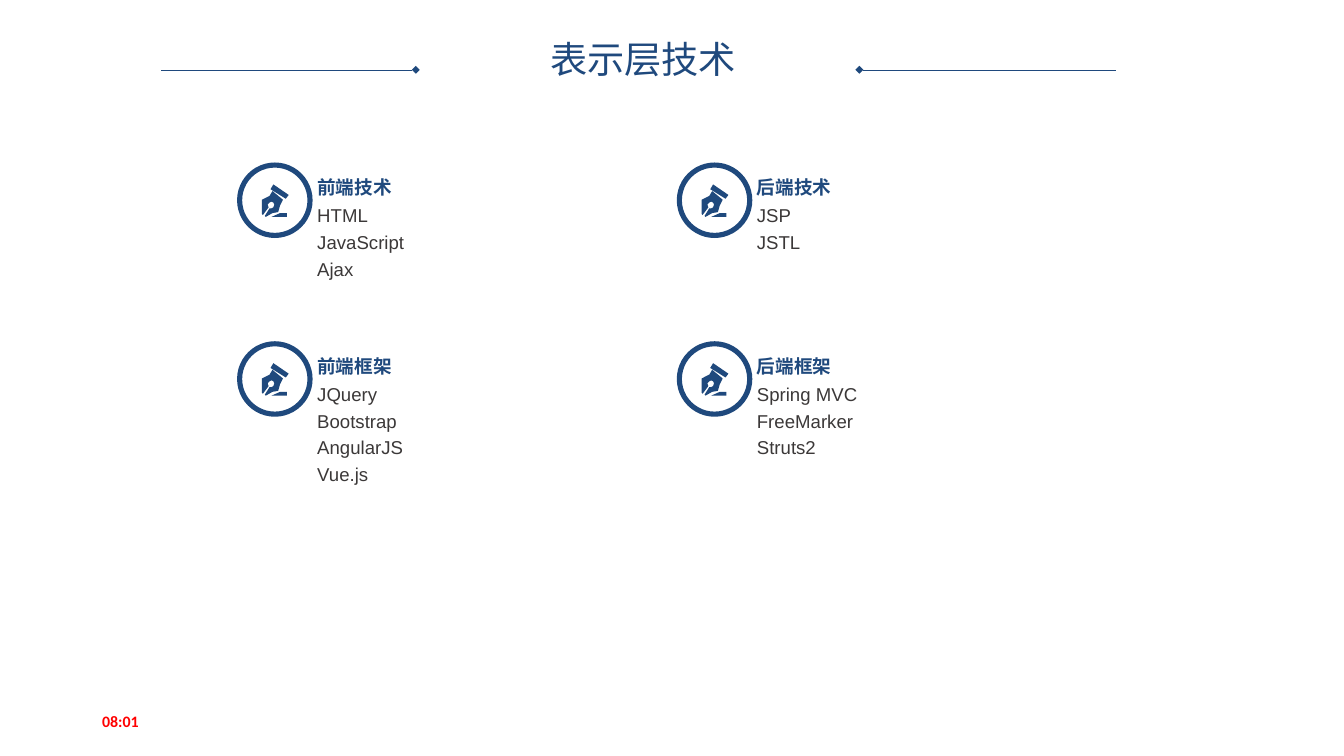
from lxml import etree
from pptx import Presentation
from pptx.dml.color import RGBColor
from pptx.enum import shapes as kinds, text as layout
from pptx.oxml import ns
from pptx.util import Inches, Pt

NAVY = RGBColor(0x1F, 0x49, 0x7D)
CHARCOAL = RGBColor(0x3B, 0x38, 0x38)
RED = RGBColor(0xFF, 0x00, 0x00)

TITLE = " 表示层技术"
CLOCK = "08:01"
TOPICS = [
    [("前端技术", ["HTML", "JavaScript", "Ajax"], 1.12),
     ("后端技术", ["JSP", "JSTL"], 0.66)],
    [("前端框架", ["JQuery", "Bootstrap", "AngularJS", "Vue.js"], 1.11),
     ("后端框架", ["Spring MVC", "FreeMarker", "Struts2"], 1.26)],
]
RULES = [(4.35, 1.68), (8.99, 11.67)]
RULE_TOP = 0.73

LEFT, TOP = 2.48, 1.7
COLUMN_STEP, ROW_STEP = 4.6, 1.87
RING_SIZE = 0.79
LINE_HEIGHT = 0.28

PEN_NIB = [(1, 32), (0, 31), (0, 16), (4, 14.5), (8, 11.5), (11, 7),
           (22, 16), (19, 21.5), (17, 29), (11, 30.5), (4, 34), (3, 33),
           (8, 25), (10.5, 25), (12.5, 23.5), (13, 21), (11.5, 19),
           (9.5, 18), (7.5, 19), (6.5, 21), (7, 24)]
PEN_STROKE = [(10, 34), (26, 34), (26, 30), (19, 30)]
PEN_CAP = [(25, 15), (28, 11), (12, 0), (9, 5)]

deck = Presentation()
deck.slide_width, deck.slide_height = Inches(14.06), Inches(7.91)
slide = deck.slides.add_slide(deck.slide_layouts[6])


def add_text(lines, left, top, width, height, size=14, color=CHARCOAL,
             font="Arial", bold=False, align=layout.PP_ALIGN.LEFT,
             spacing=1.2, before=0, anchor=layout.MSO_ANCHOR.TOP, wrap=False):
    frame = slide.shapes.add_textbox(
        Inches(left), Inches(top), Inches(width), Inches(height)).text_frame
    frame.word_wrap = wrap
    frame.vertical_anchor = anchor
    if not wrap:
        frame.auto_size = layout.MSO_AUTO_SIZE.SHAPE_TO_FIT_TEXT
    for index, line in enumerate(lines):
        paragraph = frame.add_paragraph() if index else frame.paragraphs[0]
        paragraph.alignment = align
        paragraph.line_spacing = spacing
        paragraph.space_before = Pt(before)
        run = paragraph.add_run()
        run.text = line
        run.font.size = Pt(size)
        run.font.name = font
        run.font.bold = bold
        run.font.color.rgb = color


def add_rule(start, end):
    rule = slide.shapes.add_connector(
        kinds.MSO_CONNECTOR.STRAIGHT, Inches(start), Inches(RULE_TOP),
        Inches(end), Inches(RULE_TOP))
    rule.line.color.rgb = NAVY
    rule.line.width = Pt(0.25)
    etree.SubElement(rule.line._get_or_add_ln(), ns.qn("a:headEnd"), type="diamond")
    etree.SubElement(rule._element.spPr, ns.qn("a:effectLst"))


def paint(shape):
    shape.shadow.inherit = False
    shape.fill.solid()
    shape.fill.fore_color.rgb = NAVY
    shape.line.fill.background()


def add_pen(left, top):
    pen = slide.shapes.build_freeform(*PEN_NIB[0], scale=Inches(0.01))
    pen.add_line_segments(PEN_NIB[1:])
    for outline in (PEN_STROKE, PEN_CAP):
        pen.move_to(*outline[0])
        pen.add_line_segments(outline[1:])
    paint(pen.convert_to_shape(Inches(left), Inches(top)))


def add_topic(heading, items, items_width, left, top):
    add_pen(left + 0.26, top + 0.23)
    ring = slide.shapes.add_shape(
        kinds.MSO_SHAPE.DONUT, Inches(left), Inches(top),
        Inches(RING_SIZE), Inches(RING_SIZE))
    ring.adjustments[0] = 0.068
    paint(ring)
    text_left = left + 0.74
    add_text(items, text_left, top + 0.34, items_width,
             0.11 + LINE_HEIGHT * len(items))
    add_text([heading], text_left, top + 0.05, 0.99, 0.36, color=NAVY,
             bold=True, align=layout.PP_ALIGN.JUSTIFY)


for start, end in RULES:
    add_rule(start, end)
add_text([TITLE], 3.62, 0.41, 6.13, 0.47, size=28, color=NAVY,
         align=layout.PP_ALIGN.CENTER, spacing=0.9, before=10,
         anchor=layout.MSO_ANCHOR.MIDDLE, wrap=True)

for row, topics in enumerate(TOPICS):
    for column, (heading, items, items_width) in enumerate(topics):
        add_topic(heading, items, items_width,
                  LEFT + column * COLUMN_STEP, TOP + row * ROW_STEP)

add_text([CLOCK], 0.97, 7.33, 3.16, 0.42, size=12, color=RED, font="Calibri",
         bold=True, spacing=1.0, anchor=layout.MSO_ANCHOR.MIDDLE, wrap=True)

deck.save("out.pptx")
